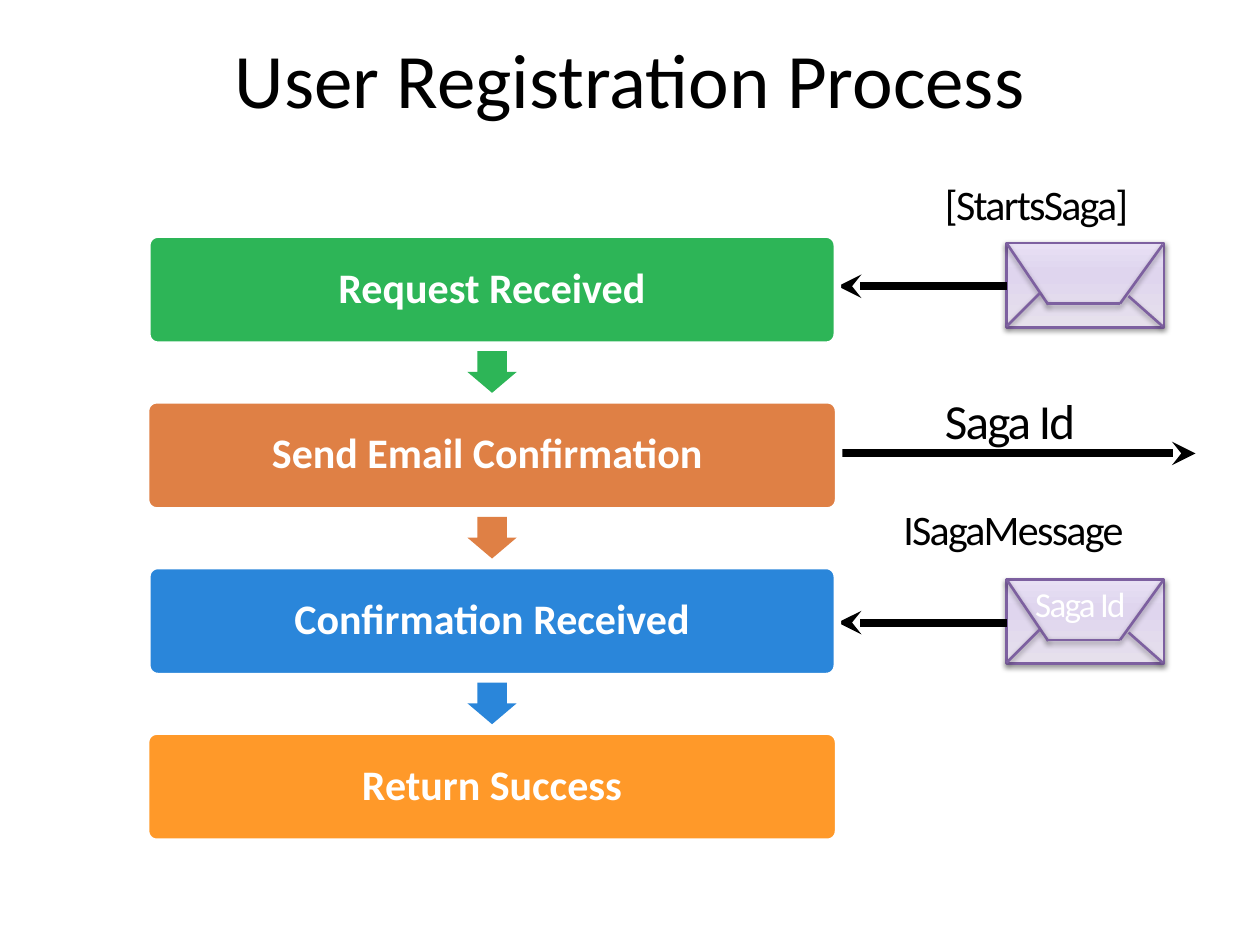
from copy import deepcopy
from typing import NamedTuple

from lxml.etree import SubElement
from pptx import Presentation
from pptx.dml.color import RGBColor
from pptx.enum.shapes import MSO_CONNECTOR, MSO_SHAPE
from pptx.enum.text import MSO_ANCHOR, PP_ALIGN
from pptx.oxml.ns import qn
from pptx.util import Cm, Pt

COLORS = {
    "black": "000000", "white": "FFFFFF", "green": "2DB557",
    "terracotta": "DF8045", "blue": "2A86DA", "orange": "FF9929",
    "purple": "7D60A0",
}
ENVELOPE_GRADIENT = [(0, "E6E0EC"), (0.65, "DFD5EE"), (1, "E8E0F4")]
ENVELOPE_SIZE = (3.18, 1.7)
ENVELOPE_FOLDS = [
    (0, 0, 0.84, 1.24), (2.29, 1.22, 3.15, 0.03), (0.81, 1.22, 2.29, 1.22),
    (0, 1.68, 0.66, 1.02), (2.46, 1.07, 3.15, 1.68),
]
STEP_TOP, STEP_PITCH, STEP_HEIGHT = 4.72, 3.34, 2.24
STEP_CENTER = 9.92
ARROW_WIDTH, ARROW_HEIGHT, ARROW_OFFSET = 0.99, 0.84, 2.36
STEP_EDGE, ENVELOPE_LEFT, OUTGOING_END = 16.89, 20.29, 24.1
ENVELOPE_TOP, ENVELOPE_PITCH, MESSAGE_OFFSET = 4.9, 6.78, 0.87


class Step(NamedTuple):
    text: str
    color: str
    width: float


class Label(NamedTuple):
    text: str
    left: float
    top: float
    width: float
    size: int
    color: str = "black"


STEPS = [
    Step("Request Received", "green", 13.92),
    Step("Send Email Confirmation ", "terracotta", 13.97),
    Step("Confirmation Received", "blue", 13.92),
    Step("Return Success", "orange", 13.97),
]
LABELS = [
    Label("[StartsSaga]", 18.8, 3.48, 5.28, 24),
    Label("ISagaMessage", 17.96, 10.03, 6.15, 24),
    Label("Saga Id", 18.8, 7.75, 5.28, 28),
    Label("Saga Id", 20.62, 11.61, 2.54, 20, "white"),
]


def rgb(name: str) -> RGBColor:
    return RGBColor.from_string(COLORS[name])


def write(frame, text: str, size: int, color: str, bold: bool = False):
    frame.word_wrap = True
    run = frame.paragraphs[0].add_run()
    run.text = text
    for name, value in {"name": "Calibri", "size": Pt(size), "bold": bold}.items():
        setattr(run.font, name, value)
    run.font.color.rgb = rgb(color)
    return run


def center(frame) -> None:
    frame.vertical_anchor = MSO_ANCHOR.MIDDLE
    frame.paragraphs[0].alignment = PP_ALIGN.CENTER


def set_line(shape, color: str, width: float) -> None:
    shape.line.color.rgb = rgb(color)
    shape.line.width = Pt(width)


def add_soft_shadow(effects) -> None:
    shadow = SubElement(effects, qn("a:outerShdw"), blurRad="40000",
                        dist="20000", dir="5400000", rotWithShape="0")
    black = SubElement(shadow, qn("a:srgbClr"), val=COLORS["black"])
    SubElement(black, qn("a:alpha"), val="38000")


def add_line(shapes, start: tuple[float, float], end: tuple[float, float],
             color: str, width: float):
    """Draw a straight line and return it with its empty effect list."""
    line = shapes.add_connector(MSO_CONNECTOR.STRAIGHT,
                                *(Cm(value) for value in (*start, *end)))
    set_line(line, color, width)
    effects = SubElement(line._element.spPr, qn("a:effectLst"))
    return line, effects


def add_message_arrow(shapes, start_x: float, end_x: float, y: float) -> None:
    arrow, _ = add_line(shapes, (start_x, y), (end_x, y), "black", 4.5)
    SubElement(arrow.line._get_or_add_ln(), qn("a:tailEnd"), type="stealth")


def fill_envelope(envelope) -> None:
    fill = envelope.fill
    fill.gradient()
    fill.gradient_angle = 90
    stop_list = envelope._element.spPr.find(".//" + qn("a:gsLst"))
    stop_list.append(deepcopy(stop_list[-1]))
    for stop, (position, color) in zip(fill.gradient_stops, ENVELOPE_GRADIENT):
        stop.position = position
        stop.color.rgb = RGBColor.from_string(color)


def add_envelope(shapes, left: float, top: float) -> None:
    envelope = shapes.add_shape(MSO_SHAPE.RECTANGLE, Cm(left), Cm(top),
                                *(Cm(value) for value in ENVELOPE_SIZE))
    fill_envelope(envelope)
    set_line(envelope, "purple", 1.5)
    envelope.shadow.inherit = False
    add_soft_shadow(envelope._element.spPr.find(qn("a:effectLst")))
    for x1, y1, x2, y2 in ENVELOPE_FOLDS:
        _, effects = add_line(shapes, (left + x1, top + y1),
                              (left + x2, top + y2), "purple", 1.5)
        add_soft_shadow(effects)


def add_step(shapes, step: Step, top: float) -> None:
    card = shapes.add_shape(MSO_SHAPE.ROUNDED_RECTANGLE,
                            Cm(STEP_CENTER - step.width / 2), Cm(top),
                            Cm(step.width), Cm(STEP_HEIGHT))
    card.adjustments[0] = 0.1
    card.shadow.inherit = False
    card.fill.solid()
    card.fill.fore_color.rgb = rgb(step.color)
    set_line(card, "white", 4.33)
    center(card.text_frame)
    card.text_frame.paragraphs[0].line_spacing = 0.9
    write(card.text_frame, step.text, 24, "white", bold=True)


def add_step_arrow(shapes, color: str, top: float) -> None:
    arrow = shapes.add_shape(MSO_SHAPE.DOWN_ARROW,
                             Cm(STEP_CENTER - ARROW_WIDTH / 2), Cm(top),
                             Cm(ARROW_WIDTH), Cm(ARROW_HEIGHT))
    arrow.adjustments[0] = 0.6
    arrow.adjustments[1] = 0.5
    arrow.shadow.inherit = False
    arrow.fill.solid()
    arrow.fill.fore_color.rgb = rgb(color)
    arrow.line.fill.background()


def add_label(shapes, label: Label) -> None:
    box = shapes.add_textbox(Cm(label.left), Cm(label.top),
                             Cm(label.width), Cm(1.47))
    run = write(box.text_frame, label.text, label.size, label.color)
    run.font._element.set("spc", "-100")


def add_title(shapes, text: str) -> None:
    title = shapes.add_textbox(Cm(1.07), Cm(0.64), Cm(23.27), Cm(1.85))
    center(title.text_frame)
    write(title.text_frame, text, 44, "black")


def main() -> None:
    presentation = Presentation()
    presentation.slide_width, presentation.slide_height = Cm(25.4), Cm(19.05)
    shapes = presentation.slides.add_slide(presentation.slide_layouts[6]).shapes

    for index in range(2):
        top = ENVELOPE_TOP + index * ENVELOPE_PITCH
        add_envelope(shapes, ENVELOPE_LEFT, top)
        add_message_arrow(shapes, ENVELOPE_LEFT, STEP_EDGE, top + MESSAGE_OFFSET)
    add_message_arrow(shapes, STEP_EDGE, OUTGOING_END, 9.14)
    for label in LABELS:
        add_label(shapes, label)
    add_title(shapes, "User Registration Process")

    for index, step in enumerate(STEPS):
        top = STEP_TOP + index * STEP_PITCH
        add_step(shapes, step, top)
        if index < len(STEPS) - 1:
            add_step_arrow(shapes, step.color, top + ARROW_OFFSET)

    presentation.save("out.pptx")


if __name__ == "__main__":
    main()
